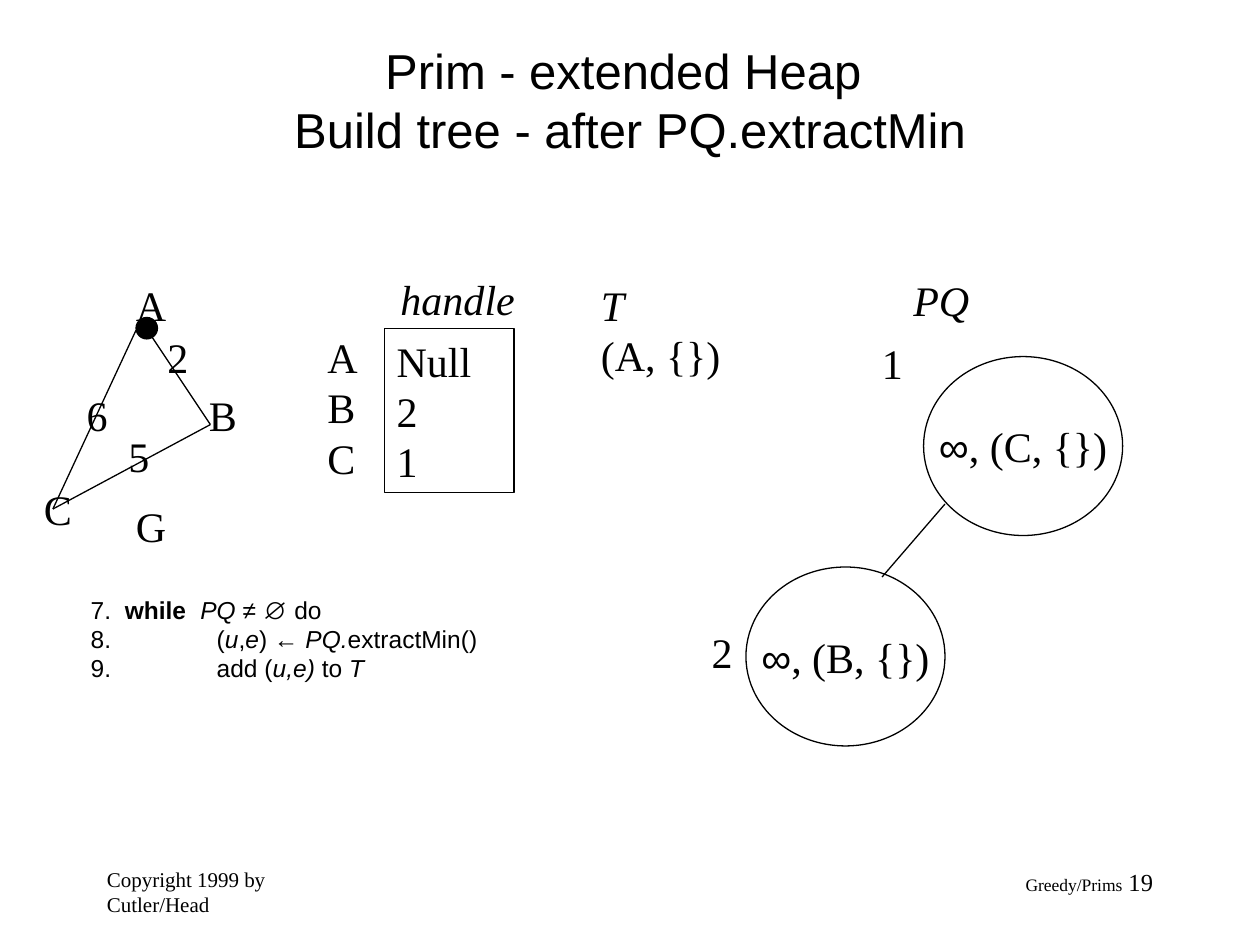
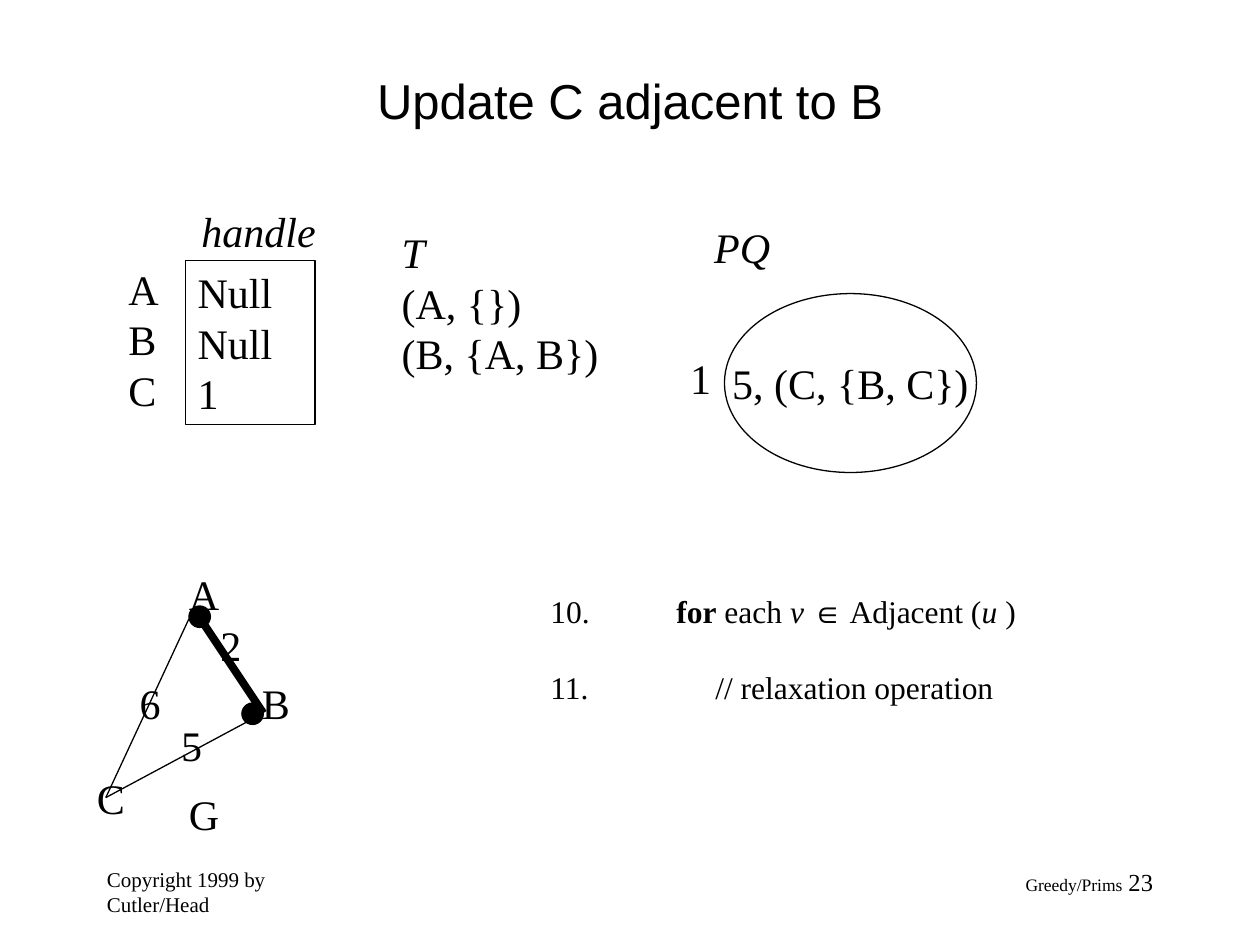
from lxml import etree
from pptx import Presentation
from pptx.dml.color import RGBColor
from pptx.enum.shapes import MSO_CONNECTOR as Link, MSO_SHAPE as Form
from pptx.enum.text import MSO_ANCHOR as Anchor, MSO_AUTO_SIZE as Fit, PP_ALIGN as Align
from pptx.oxml.ns import qn
from pptx.util import Inches, Pt

SANS, SERIF = "Arial", "Times New Roman"
INK = "000000"


def paint(color_format, color):
    color_format.rgb = RGBColor.from_string(color)


class Sheet:
    """Holds the shared style and the page being filled."""
    label_size = 24
    thin, thick = 0.75, 4.5

    def __init__(self, deck):
        self.deck = deck
        self.page = None

    def start(self, title, number):
        """Add a page with its title and footers."""
        self.page = self.deck.slides.add_slide(self.deck.slide_layouts[5])
        box = self.page.shapes.title
        box.left, box.top, box.width, box.height = map(Inches, (0.75, 0.33, 8.5, 0.92))
        frame = box.text_frame
        frame.text = title
        frame.auto_size = Fit.NONE
        frame.vertical_anchor = Anchor.MIDDLE
        frame.paragraphs[0].alignment = Align.CENTER
        for span in frame.paragraphs[0].runs:
            self.style(span, 28, SANS)
        self.text(0.75, 6.83, ["Copyright 1999 by Cutler/Head"], 2.08, size=12, wrap=True)
        box = self.text(7.17, 6.83, [[("Greedy/Prims", ""), (f" {number}", "")]],
                        2.08, size=14, wrap=True)
        para = box.text_frame.paragraphs[0]
        para.alignment = Align.RIGHT
        para.runs[0].font.size = Pt(10)

    def style(self, span, size, font, marks=""):
        """Format a run; marks may hold b (bold), i (italic) and s (sans)."""
        span.font.size = Pt(size)
        span.font.name = SANS if "s" in marks else font
        span.font.bold = "b" in marks
        span.font.italic = "i" in marks
        paint(span.font.color, INK)

    def fill_text(self, frame, lines, size, font=SERIF):
        """Write lines, each a string or a list of (text, marks) spans."""
        for index, line in enumerate(lines):
            para = frame.paragraphs[0] if index == 0 else frame.add_paragraph()
            spans = [(line, "")] if isinstance(line, str) else line
            for words, marks in spans:
                span = para.add_run()
                span.text = words
                self.style(span, size, font, marks)

    def text(self, left, top, lines, width=0.44, height=0.5, size=label_size,
             font=SERIF, wrap=False):
        box = self.page.shapes.add_textbox(*map(Inches, (left, top, width, height)))
        frame = box.text_frame
        frame.word_wrap = wrap
        frame.auto_size = Fit.NONE if wrap else Fit.SHAPE_TO_FIT_TEXT
        self.fill_text(frame, lines, size, font)
        return box

    def heading(self, left, top, words, width):
        """Put an italic name over a data structure."""
        self.text(left, top, [[(words, "i")]], width, wrap=True)

    def tabs(self, para, *stops):
        holder = etree.SubElement(para._p.get_or_add_pPr(), qn("a:tabLst"))
        for stop in stops:
            etree.SubElement(holder, qn("a:tab"), pos=str(Inches(stop)), algn="l")

    def shape(self, form, left, top, width, height, fill=None):
        shape = self.page.shapes.add_shape(form, *map(Inches, (left, top, width, height)))
        shape.shadow.inherit = False
        if fill:
            shape.fill.solid()
            paint(shape.fill.fore_color, fill)
        else:
            shape.fill.background()
        paint(shape.line.color, INK)
        shape.line.width = Pt(self.thin)
        return shape

    def line(self, start, end, weight=thin):
        line = self.page.shapes.add_connector(Link.STRAIGHT, *map(Inches, (*start, *end)))
        paint(line.line.color, INK)
        line.line.width = Pt(weight)
        etree.SubElement(line._element.spPr, qn("a:effectLst"))

    def heap_node(self, left, top, width, spans):
        node = self.shape(Form.OVAL, left, top, width, 1.42)
        frame = node.text_frame
        frame.word_wrap = False
        frame.vertical_anchor = Anchor.MIDDLE
        self.fill_text(frame, [spans], self.label_size)
        frame.paragraphs[0].alignment = Align.CENTER

    def handle_table(self, left, top, handles):
        """Draw the handle array beside its vertex names."""
        self.heading(left + 0.58, top, "handle", 1.25)
        self.text(left, top + 0.46, ["A", "B", "C"], 0.44, 1.3)
        cells = self.shape(Form.RECTANGLE, left + 0.55, top + 0.49, 1.03, 1.3)
        frame = cells.text_frame
        frame.word_wrap = True
        frame.vertical_anchor = Anchor.TOP
        self.fill_text(frame, handles, self.label_size)
        for para in frame.paragraphs:
            para.alignment = Align.LEFT

    def tree_list(self, left, top, entries, width):
        self.text(left, top, [[("T", "i")], *entries], width, 0.5 + 0.4 * len(entries))

    def graph(self, left, top, visited, chosen=False):
        """Draw graph G; visited vertices get a dot, a chosen edge AB is thick."""
        def at(x, y):
            return left + x, top + y

        corner_b, corner_c = at(1.42, 1.2), at(0.17, 1.87)
        self.line(at(0.83, 0.45), corner_c)
        self.line(at(0.92, 0.45), corner_b, self.thick if chosen else self.thin)
        self.line(corner_b, corner_c)
        labels = {"A": (0.73, 0), "B": (1.31, 0.87), "C": (0, 1.62), "G": (0.73, 1.75),
                  "2": (0.98, 0.41), "5": (0.67, 1.2), "6": (0.34, 0.87)}
        for label, place in labels.items():
            self.text(*at(*place), [label], 0.36 if label.isdigit() else 0.44)
        dots = {"A": (0.83, 0.35), "B": (1.25, 1.12)}
        for vertex in visited:
            self.shape(Form.OVAL, *at(*dots[vertex]), 0.17, 0.17, INK)


def build_extract_min(sheet):
    sheet.start("Prim - extended Heap \vBuild tree - after PQ.extractMin", 19)
    sheet.handle_table(2.5, 2.12, ["Null", "2", "1"])
    sheet.tree_list(4.67, 2.17, ["(A, {})"], 1.15)
    sheet.heading(7.15, 2.13, "PQ", 0.8)
    sheet.heap_node(7.33, 2.83, 1.58, [("∞", "s"), (", (C, {})", "")])
    sheet.heap_node(5.92, 4.5, 1.58, [("∞", "s"), (", (B, {})", "")])
    sheet.text(6.9, 2.63, ["1"], 0.36)
    sheet.text(5.55, 4.92, ["2"], 0.36)
    sheet.line((7.5, 4), (7, 4.58))
    sheet.graph(0.25, 2.17, "A")
    steps = [
        [("7.\t", ""), ("while\t", "b"), ("PQ ", "i"), ("≠ ∅ do", "")],
        [("8.\t(", ""), ("u", "i"), (",", ""), ("e", "i"), (") ← ", ""),
         ("PQ.", "i"), ("extractMin()", "")],
        [("9.\tadd (", ""), ("u,e)", "i"), (" to ", ""), ("T", "i")],
    ]
    box = sheet.text(0.25, 4.67, steps, 4.58, 1, 14, SANS, wrap=True)
    box.text_frame.margin_left = Inches(0.47)
    paras = box.text_frame.paragraphs
    paras[0].space_before = Pt(3.5)
    for para, stops in zip(paras, [(0.27, 0.87), (1,), (1,)]):
        sheet.tabs(para, *stops)


def build_update(sheet):
    sheet.start("Update C adjacent to B", 23)
    sheet.handle_table(0.92, 1.58, ["Null", "Null", "1"])
    sheet.tree_list(3.09, 1.75, ["(A, {})", "(B, {A, B})"], 1.76)
    sheet.heading(5.57, 1.71, "PQ", 0.8)
    sheet.heap_node(5.75, 2.33, 2, [("5, (C, {B, C})", "")])
    sheet.text(5.38, 2.75, ["1"], 0.36)
    steps = [
        [("10.\t", ""), ("for", "b"), (" each ", ""), ("v ", "i"), ("∈", "s"),
         (" Adjacent (", ""), ("u", "i"), (" )", "")],
        "11.\t// relaxation operation",
    ]
    box = sheet.text(4.27, 4.65, steps, 3.9, 1, 18)
    paras = box.text_frame.paragraphs
    paras[1].space_before = Pt(22)
    for para, stop in zip(paras, (1, 1.31)):
        sheet.tabs(para, stop)
    sheet.graph(0.67, 4.46, "AB", chosen=True)


def main():
    deck = Presentation()
    deck.slide_width, deck.slide_height = Inches(10), Inches(7.5)
    sheet = Sheet(deck)
    build_extract_min(sheet)
    build_update(sheet)
    deck.save("out.pptx")


if __name__ == "__main__":
    main()
